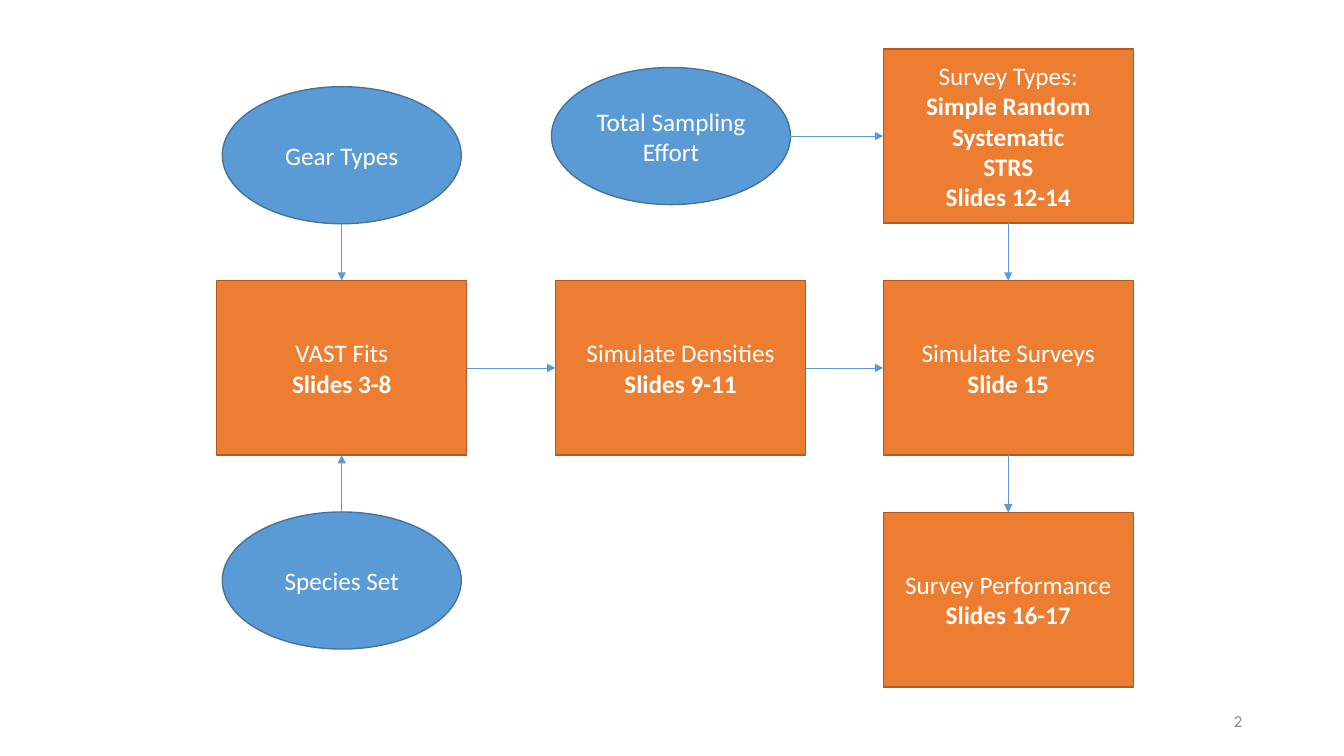
import dataclasses

import lxml.etree
import pptx
import pptx.dml.color
import pptx.enum.shapes
import pptx.enum.text
import pptx.oxml.ns
import pptx.util


@dataclasses.dataclass(frozen=True)
class Theme:
    """Colours, type sizes and grid of the flow chart."""

    font: str = "Calibri"
    step_fill: str = "ED7D31"
    step_line: str = "AF5C24"
    input_fill: str = "5B9BD5"
    input_line: str = "43739E"
    arrow: str = "5B9BD5"
    label: str = "FFFFFF"
    number: str = "8C8C8C"
    label_size: int = 18
    number_size: int = 12
    outline: float = 1
    arrow_width: float = 0.5
    columns: tuple = (3.39, 6.75, 10.0)
    rows: tuple = (1.35, 3.65, 5.95)
    step_size: tuple = (2.48, 1.73)
    input_size: tuple = (2.37, 1.36)


class FlowPage:
    """Draws flow chart elements on one page in one theme."""

    def __init__(self, deck, theme):
        """Add a blank page to the deck."""
        self.theme = theme
        self.page = deck.slides.add_slide(deck.slide_layouts[6])

    def colour(self, value):
        """Turn a hex value into a colour."""
        return pptx.dml.color.RGBColor.from_string(value)

    def set_text(self, box, lines, size, colour, align):
        """Fill a box with lines, all but the first in bold."""
        frame = box.text_frame
        frame.word_wrap = True
        frame.vertical_anchor = pptx.enum.text.MSO_ANCHOR.MIDDLE
        frame.text = "\n".join(lines)
        for index, para in enumerate(frame.paragraphs):
            para.alignment = align
            for span in para.runs:
                span.font.name = self.theme.font
                span.font.size = pptx.util.Pt(size)
                span.font.bold = index > 0
                span.font.color.rgb = self.colour(colour)

    def node(self, kind, size, fill, line, cell, lines, nudge=(0, 0)):
        """Centre a shape on a grid cell, nudged by shares of its own size."""
        column, row = cell
        width, height = size
        left = self.theme.columns[column] + (nudge[0] - 0.5) * width
        top = self.theme.rows[row] + (nudge[1] - 0.5) * height
        box = self.page.shapes.add_shape(kind, *map(pptx.util.Inches, (left, top, width, height)))
        box.shadow.inherit = False
        box.fill.solid()
        box.fill.fore_color.rgb = self.colour(fill)
        box.line.color.rgb = self.colour(line)
        box.line.width = pptx.util.Pt(self.theme.outline)
        self.set_text(box, lines, self.theme.label_size, self.theme.label, pptx.enum.text.PP_ALIGN.CENTER)
        return box

    def step(self, cell, *lines):
        """Draw a process step as a rectangle."""
        theme = self.theme
        kind = pptx.enum.shapes.MSO_SHAPE.RECTANGLE
        return self.node(kind, theme.step_size, theme.step_fill, theme.step_line, cell, lines)

    def source(self, cell, label, nudge):
        """Draw an input as an ellipse."""
        theme = self.theme
        kind = pptx.enum.shapes.MSO_SHAPE.OVAL
        return self.node(kind, theme.input_size, theme.input_fill, theme.input_line, cell, [label], nudge)

    def arrow(self, start, end):
        """Join the facing sides of two nodes with a straight arrow."""
        middle_x = end.left + end.width // 2
        middle_y = end.top + end.height // 2
        if start.left + start.width < end.left:
            points = start.left + start.width, middle_y, end.left, middle_y
        elif start.top < end.top:
            points = middle_x, start.top + start.height, middle_x, end.top
        else:
            points = middle_x, start.top, middle_x, end.top + end.height
        line = self.page.shapes.add_connector(pptx.enum.shapes.MSO_CONNECTOR.STRAIGHT, *points)
        line.line.color.rgb = self.colour(self.theme.arrow)
        line.line.width = pptx.util.Pt(self.theme.arrow_width)
        name = pptx.oxml.ns.qn
        lxml.etree.SubElement(line.get_or_add_ln(), name("a:tailEnd"), type="triangle")
        lxml.etree.SubElement(line.element.spPr, name("a:effectLst"))

    def number(self, text):
        """Place the page number at the lower right."""
        area = map(pptx.util.Inches, (9.42, 6.95, 3, 0.4))
        box = self.page.shapes.add_textbox(*area)
        self.set_text(box, [text], self.theme.number_size, self.theme.number, pptx.enum.text.PP_ALIGN.RIGHT)


def main():
    """Build the survey simulation flow chart."""
    deck = pptx.Presentation()
    deck.slide_width = pptx.util.Inches(13.33)
    deck.slide_height = pptx.util.Inches(7.5)
    flow = FlowPage(deck, Theme())

    gear = flow.source((0, 0), "Gear Types", (0, 0.14))
    species = flow.source((0, 2), "Species Set", (0, -0.14))
    effort = flow.source((1, 0), "Total Sampling Effort", (-0.04, 0))
    fits = flow.step((0, 1), "VAST Fits", "Slides 3-8")
    densities = flow.step((1, 1), "Simulate Densities", "Slides 9-11")
    types = flow.step((2, 0), "Survey Types:", "Simple Random", "Systematic", "STRS", "Slides 12-14")
    surveys = flow.step((2, 1), "Simulate Surveys", "Slide 15")
    performance = flow.step((2, 2), "Survey Performance", "Slides 16-17")

    for start, end in (
        (gear, fits),
        (species, fits),
        (fits, densities),
        (densities, surveys),
        (effort, types),
        (types, surveys),
        (surveys, performance),
    ):
        flow.arrow(start, end)

    flow.number("2")
    deck.save("out.pptx")


if __name__ == "__main__":
    main()
